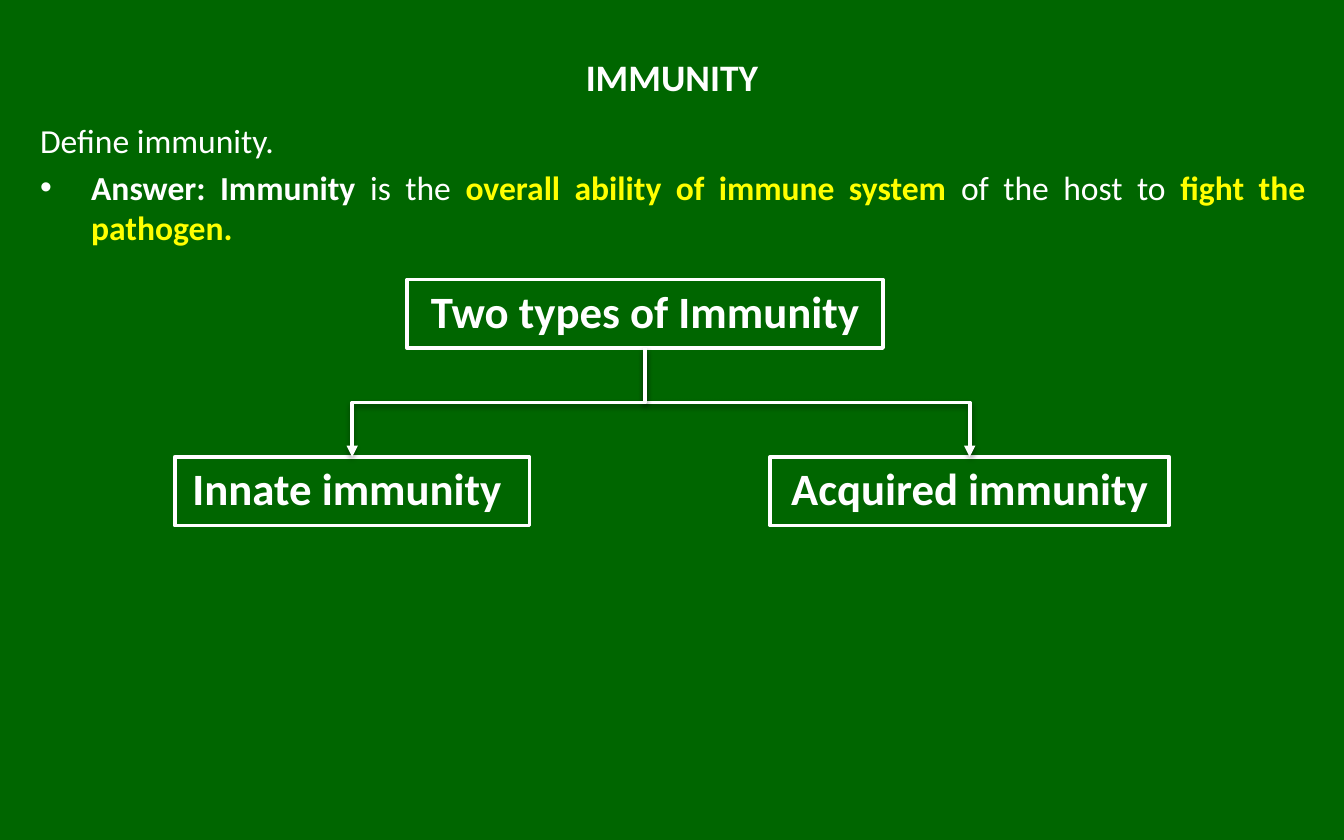
from lxml import etree
from pptx import Presentation
from pptx.dml.color import RGBColor
from pptx.enum.shapes import MSO_CONNECTOR, MSO_SHAPE
from pptx.enum.text import MSO_ANCHOR, PP_ALIGN
from pptx.oxml.ns import qn
from pptx.util import Inches, Pt

RECT = MSO_SHAPE.RECTANGLE
ELBOW = MSO_CONNECTOR.ELBOW
MIDDLE = MSO_ANCHOR.MIDDLE
CENTER, JUSTIFY = PP_ALIGN.CENTER, PP_ALIGN.JUSTIFY
GREEN, WHITE, YELLOW = "006600", "FFFFFF", "FFFF00"
BOTTOM, TOP = 2, 0


def color(code):
    return RGBColor.from_string(code)


def write(para, text, size, bold=True, code=WHITE):
    run = para.add_run()
    run.text = text
    font = run.font
    font.name = "Calibri"
    font.size = Pt(size)
    font.bold = bold
    font.color.rgb = color(code)


deck = Presentation()
deck.slide_width = Inches(10)
deck.slide_height = Inches(6.25)
col = deck.slide_width / 100
row = deck.slide_height / 100
slide = deck.slides.add_slide(deck.slide_layouts[6])
slide.background.fill.solid()
slide.background.fill.fore_color.rgb = color(GREEN)
shapes = slide.shapes

title = shapes.add_textbox(0, int(0.8 * row), int(100 * col), int(16.64 * row)).text_frame
title.word_wrap = True
title.vertical_anchor = MIDDLE
title.paragraphs[0].alignment = CENTER
write(title.paragraphs[0], "IMMUNITY", 20)

body = shapes.add_textbox(int(2 * col), int(13.44 * row), int(96.1 * col), int(19.68 * row)).text_frame
body.word_wrap = True
ask = body.paragraphs[0]
ask.alignment = JUSTIFY
write(ask, "Define immunity.", 18, False)

reply = body.add_paragraph()
reply.alignment = JUSTIFY
reply.space_before = Pt(3.6)
props = reply._p.get_or_add_pPr()
props.set("marL", str(int(3.8 * col)))
props.set("indent", str(int(-3.8 * col)))
etree.SubElement(props, qn("a:buFont"), typeface="Arial")
etree.SubElement(props, qn("a:buChar"), char="•")
for text, bold, code in [
    ("Answer: Immunity ", True, WHITE),
    ("is the ", False, WHITE),
    ("overall ability of immune system ", True, YELLOW),
    ("of the host to ", False, WHITE),
    ("fight the pathogen.", True, YELLOW),
]:
    write(reply, text, 18, bold, code)

boxes = []
for text, left, top, width in [
    ("Two types of Immunity", 30.3, 33.28, 35.4),
    ("Innate immunity ", 13, 54.4, 26.4),
    ("Acquired immunity", 57.3, 54.4, 29.7),
]:
    box = shapes.add_shape(RECT, int(left * col), int(top * row), int(width * col), int(8.16 * row))
    box.shadow.inherit = False
    box.fill.background()
    box.line.color.rgb = color(WHITE)
    box.line.width = Pt(2)
    frame = box.text_frame
    frame.word_wrap = True
    frame.vertical_anchor = MIDDLE
    frame.margin_left = frame.margin_right = int(0.2 * col)
    frame.margin_top = frame.margin_bottom = int(0.32 * row)
    para = frame.paragraphs[0]
    para.alignment = CENTER
    para.line_spacing = 0.9
    write(para, text, 24)
    boxes.append(box)

root = boxes[0]
start = root.left + root.width // 2
base = root.top + root.height
for leaf, turn, flip in [(boxes[2], 270, "1"), (boxes[1], 90, "0")]:
    end = leaf.left + leaf.width // 2
    link = shapes.add_connector(ELBOW, start, base, end, leaf.top)
    link.begin_connect(root, BOTTOM)
    link.end_connect(leaf, TOP)
    link.width, link.height = leaf.top - base, abs(end - start)
    link.left = (start + end - link.width) // 2
    link.top = (base + leaf.top - link.height) // 2
    form = link._element.spPr.find(qn("a:xfrm"))
    form.set("rot", str(turn * 60000))
    form.set("flipH", flip)
    form.set("flipV", "0")
    link.line.color.rgb = color(WHITE)
    link.line.width = Pt(2)
    etree.SubElement(link.line._get_or_add_ln(), qn("a:tailEnd"), type="triangle")
    fx = etree.SubElement(link._element.spPr, qn("a:effectLst"))
    shade = etree.SubElement(fx, qn("a:outerShdw"), blurRad=str(Pt(3.1)), dist=str(Pt(1.6)),
                             dir="5400000", rotWithShape="0")
    black = etree.SubElement(shade, qn("a:srgbClr"), val="000000")
    etree.SubElement(black, qn("a:alpha"), val="38000")

deck.save("out.pptx")
